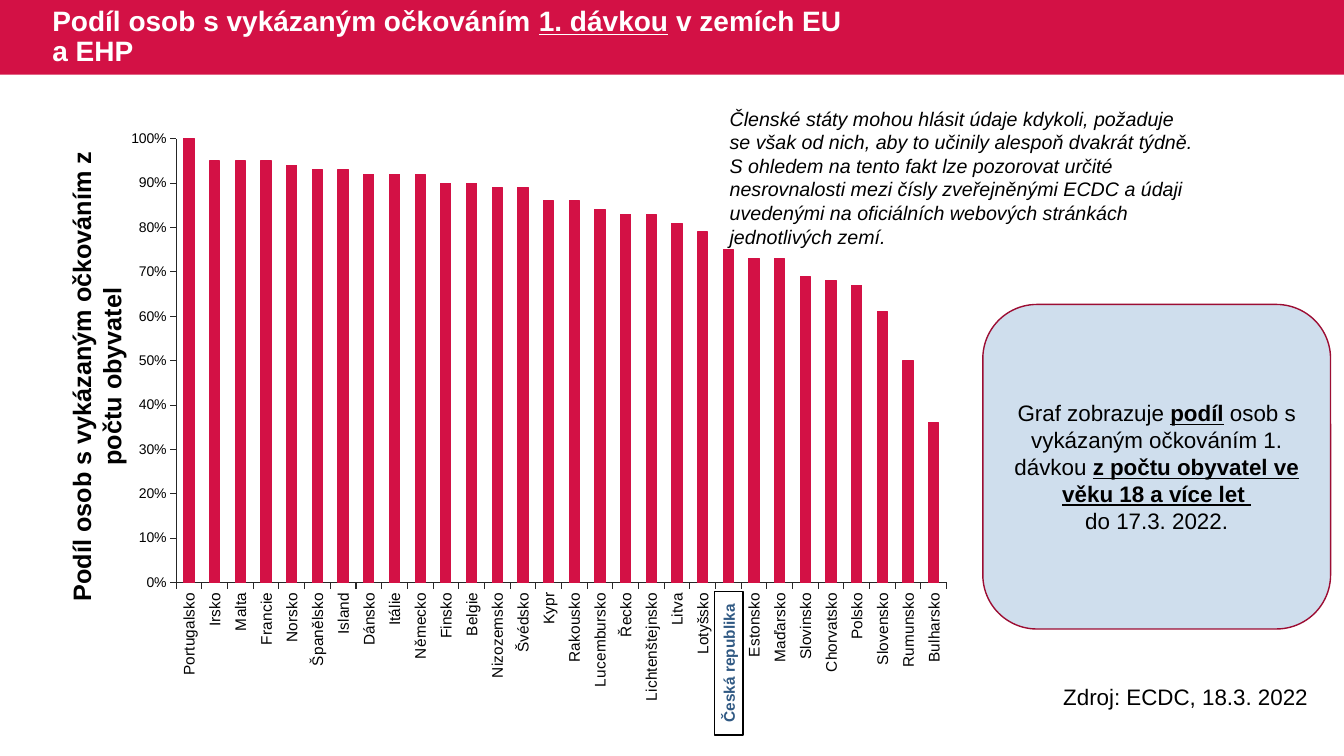
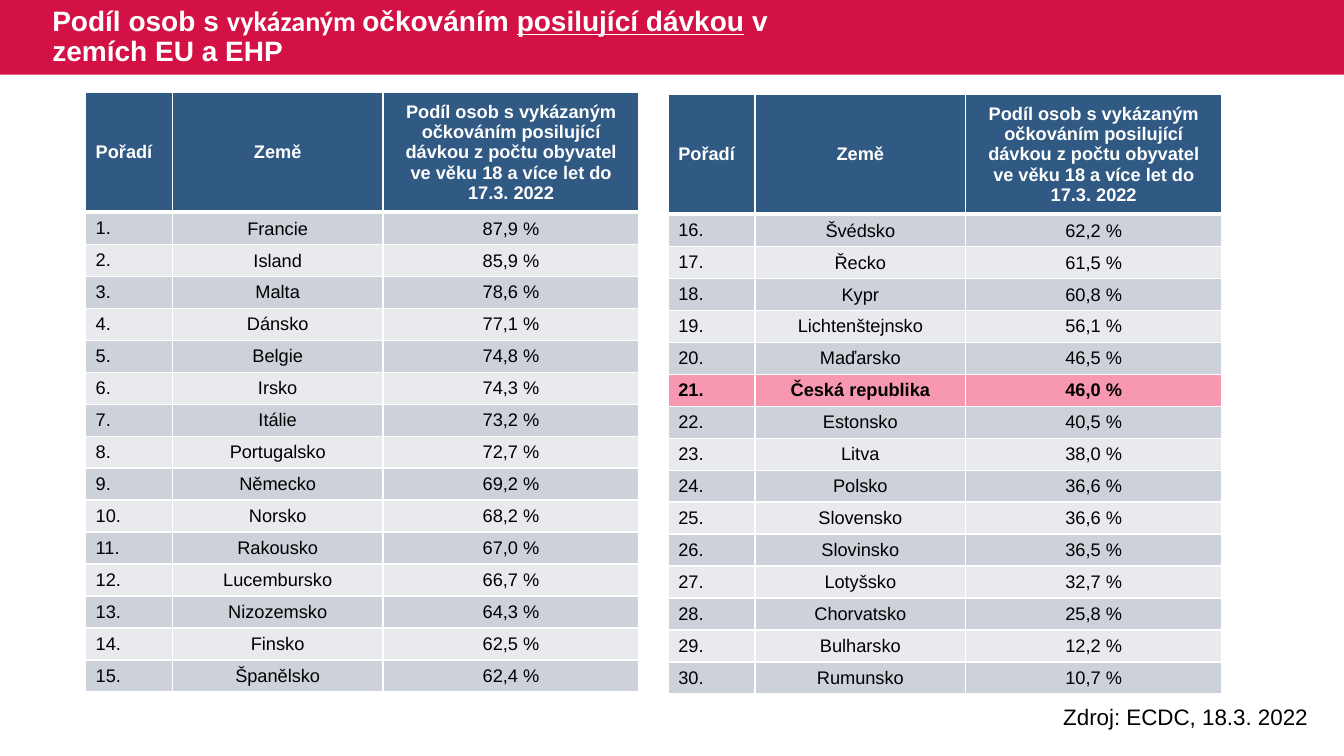
"""Build two slides on reported vaccination in EU and EEA countries."""
from dataclasses import dataclass

from lxml import etree
from pptx import Presentation
from pptx import util as u
from pptx.chart import data as chart_data
from pptx.dml.color import RGBColor
from pptx.enum import chart as chart_enum
from pptx.enum import shapes, text
from pptx.oxml import ns
from pptx.slide import Slide

WIDTH, HEIGHT = u.Inches(13.33), u.Inches(7.5)
COLUMNS, ROWS = 160, 90
FONT = "Arial"
COLOURS = {
    "crimson": "D31145", "dark_red": "9C0D33", "pink": "F797B0",
    "navy": "305983", "pale_blue": "CFDEED", "band_dark": "CDD1D9",
    "band_light": "E8EAED", "white": "FFFFFF", "black": "000000",
    "axis": "262626", "grey": "404040",
}
HIGHLIGHT = "Česká republika"
CENTER, LEFT = text.PP_ALIGN.CENTER, text.PP_ALIGN.LEFT


@dataclass(frozen=True)
class Box:
    """Hold a frame in grid columns and rows."""
    left: float
    top: float
    width: float
    height: float

    def frame(self) -> tuple[int, int, int, int]:
        """Return the frame in slide units."""
        return (across(self.left), down(self.top),
                across(self.width), down(self.height))


@dataclass(frozen=True)
class Piece:
    """Hold a stretch of text with its own emphasis."""
    words: str
    bold: bool = False
    underline: bool = False
    italic: bool = False
    font: str = FONT


@dataclass(frozen=True)
class Style:
    """Hold the look shared by all text of a shape."""
    size: float
    colour: str = "black"
    align: text.PP_ALIGN = LEFT
    spacing: float | None = None


@dataclass(frozen=True)
class Ranking:
    """Hold one ranking table and its place."""
    left: float
    top: float
    first: int
    entries: tuple[tuple[str, str], ...]


BAND = Box(0, 0, COLUMNS, 8.88)
TITLE = Box(5.04, 0, 97.92, 8.88)
AXIS_TITLE = Box(-18.6, 40.56, 60.24, 8.52)
CHART = Box(13.92, 12.96, 100.8, 71.4)
CALLOUT = Box(117, 36.24, 41.4, 38.64)
COUNTRY_MARK = Box(78.24, 77.28, 17.04, 3.36)
NOTE = Box(85.68, 12.12, 58.32, 18.12)
PLOT_SHARES = {"x": 0.07, "y": 0.05, "w": 0.91, "h": 0.74}
TABLE_COLUMNS = (10.32, 25.08, 30.48)
HEADER_ROW, BODY_ROW = 13.2, 3.6
HEADERS = ("Pořadí", "Země",
           "Podíl osob s vykázaným očkováním posilující dávkou z počtu "
           "obyvatel ve věku 18 a více let do 17.3. 2022")

FIRST_DOSE = {
    "Portugalsko": 1, "Irsko": 0.95, "Malta": 0.95, "Francie": 0.95,
    "Norsko": 0.94, "Španělsko": 0.93, "Island": 0.93, "Dánsko": 0.92,
    "Itálie": 0.92, "Německo": 0.92, "Finsko": 0.9, "Belgie": 0.9,
    "Nizozemsko": 0.89, "Švédsko": 0.89, "Kypr": 0.86, "Rakousko": 0.86,
    "Lucembursko": 0.84, "Řecko": 0.83, "Lichtenštejnsko": 0.83,
    "Litva": 0.81, "Lotyšsko": 0.79, HIGHLIGHT: 0.75, "Estonsko": 0.73,
    "Maďarsko": 0.73, "Slovinsko": 0.69, "Chorvatsko": 0.68,
    "Polsko": 0.67, "Slovensko": 0.61, "Rumunsko": 0.5, "Bulharsko": 0.36,
}
RANKINGS = (
    Ranking(10.2, 11.04, 1, (
        ("Francie", "87,9 %"), ("Island", "85,9 %"), ("Malta", "78,6 %"),
        ("Dánsko", "77,1 %"), ("Belgie", "74,8 %"), ("Irsko", "74,3 %"),
        ("Itálie", "73,2 %"), ("Portugalsko", "72,7 %"),
        ("Německo", "69,2 %"), ("Norsko", "68,2 %"),
        ("Rakousko", "67,0 %"), ("Lucembursko", "66,7 %"),
        ("Nizozemsko", "64,3 %"), ("Finsko", "62,5 %"),
        ("Španělsko", "62,4 %"))),
    Ranking(79.56, 11.28, 16, (
        ("Švédsko", "62,2 %"), ("Řecko", "61,5 %"), ("Kypr", "60,8 %"),
        ("Lichtenštejnsko", "56,1 %"), ("Maďarsko", "46,5 %"),
        (HIGHLIGHT, "46,0 %"), ("Estonsko", "40,5 %"),
        ("Litva", "38,0 %"), ("Polsko", "36,6 %"),
        ("Slovensko", "36,6 %"), ("Slovinsko", "36,5 %"),
        ("Lotyšsko", "32,7 %"), ("Chorvatsko", "25,8 %"),
        ("Bulharsko", "12,2 %"), ("Rumunsko", "10,7 %"))),
)


def across(columns: float) -> int:
    """Convert grid columns to a length."""
    return round(WIDTH * columns / COLUMNS)


def down(rows: float) -> int:
    """Convert grid rows to a length."""
    return round(HEIGHT * rows / ROWS)


def rgb(name: str) -> RGBColor:
    """Look up a named colour."""
    return RGBColor.from_string(COLOURS[name])


def style_font(font, size: float, colour: str, bold: bool = False,
               name: str = FONT) -> None:
    """Set the basic look of a font."""
    font.name, font.size, font.bold = name, u.Pt(size), bold
    font.color.rgb = rgb(colour)


def write(frame, style: Style, *paragraphs: tuple[Piece, ...]) -> None:
    """Fill a text frame with paragraphs of styled pieces."""
    frame.word_wrap = True
    for index, pieces in enumerate(paragraphs):
        paragraph = frame.add_paragraph() if index else frame.paragraphs[0]
        paragraph.alignment = style.align
        paragraph.line_spacing = style.spacing
        for piece in pieces:
            run = paragraph.add_run()
            run.text = piece.words
            style_font(run.font, style.size, style.colour, piece.bold, piece.font)
            run.font.underline = piece.underline
            run.font.italic = piece.italic


def add_text(slide: Slide, box: Box, style: Style, *pieces: Piece,
             rotation: float = 0, title: bool = False) -> None:
    """Add a one-paragraph text box."""
    shape = slide.shapes.add_textbox(*box.frame())
    shape.rotation = rotation
    write(shape.text_frame, style, pieces)
    if title:
        shape.text_frame.vertical_anchor = text.MSO_ANCHOR.MIDDLE
    else:
        shape.text_frame.auto_size = text.MSO_AUTO_SIZE.SHAPE_TO_FIT_TEXT


def add_panel(slide: Slide, box: Box, fill: str, line: str | None = None,
              kind: shapes.MSO_SHAPE = shapes.MSO_SHAPE.RECTANGLE):
    """Add a filled shape with an optional outline."""
    shape = slide.shapes.add_shape(kind, *box.frame())
    shape.shadow.inherit = False
    shape.fill.solid()
    shape.fill.fore_color.rgb = rgb(fill)
    if line:
        shape.line.color.rgb = rgb(line)
        shape.line.width = u.Pt(1)
    else:
        shape.line.fill.background()
    shape.text_frame.vertical_anchor = text.MSO_ANCHOR.MIDDLE
    return shape


def add_base(presentation, source_top: float, *title: Piece) -> Slide:
    """Add a slide with its title band and source line."""
    slide = presentation.slides.add_slide(presentation.slide_layouts[6])
    add_panel(slide, BAND, "crimson")
    add_text(slide, TITLE, Style(20, "white", spacing=0.9), *title, title=True)
    add_text(slide, Box(125.4, source_top, 37.56, 4.44), Style(16),
             Piece("Zdroj: ECDC, 18.3. 2022"))
    return slide


def style_axis(axis, size: float) -> None:
    """Set the ticks, line and labels of an axis."""
    axis.has_major_gridlines = False
    axis.major_tick_mark = chart_enum.XL_TICK_MARK.OUTSIDE
    axis.minor_tick_mark = chart_enum.XL_TICK_MARK.NONE
    axis.format.line.color.rgb = rgb("axis")
    axis.format.line.width = u.Pt(0.75)
    style_font(axis.tick_labels.font, size, "black")


def fix_plot_area(chart) -> None:
    """Place the inner plot area by shares of the chart."""
    plot_area = chart.plots[0]._element.getparent()
    for old in plot_area.findall(ns.qn("c:layout")):
        plot_area.remove(old)
    layout = etree.Element(ns.qn("c:layout"))
    plot_area.insert(0, layout)
    manual = etree.SubElement(layout, ns.qn("c:manualLayout"))
    settings = {"layoutTarget": "inner", "xMode": "edge", "yMode": "edge"}
    for tag, value in (settings | PLOT_SHARES).items():
        etree.SubElement(manual, ns.qn(f"c:{tag}"), val=str(value))


def add_dose_chart(slide: Slide) -> None:
    """Add the column chart of first doses."""
    data = chart_data.CategoryChartData(number_format="0%")
    data.categories = FIRST_DOSE.keys()
    data.add_series("Series 1", FIRST_DOSE.values())
    chart = slide.shapes.add_chart(
        chart_enum.XL_CHART_TYPE.COLUMN_CLUSTERED, *CHART.frame(), data).chart
    chart.has_legend = chart.has_title = False
    style_font(chart.font, 10, "grey")
    style_axis(chart.category_axis, 11)
    style_axis(chart.value_axis, 10)
    labels = chart.category_axis._element.find(ns.qn("c:txPr"))
    labels.find(ns.qn("a:bodyPr")).set("rot", "-5400000")
    value_axis = chart.value_axis
    value_axis.minimum_scale, value_axis.maximum_scale = 0, 1
    value_axis.major_unit = 0.1
    value_axis.tick_labels.number_format = "0%"
    value_axis.tick_labels.number_format_is_linked = False
    plot = chart.plots[0]
    plot.gap_width, plot.vary_by_categories = 150, False
    look = plot.series[0].format
    look.fill.solid()
    look.fill.fore_color.rgb = rgb("crimson")
    look.line.color.rgb = rgb("crimson")
    look.line.width = u.Pt(0.75)
    fix_plot_area(chart)


def fill_cell(cell, words: str, fill: str, style: Style, bold: bool,
              bottom: float = 1) -> None:
    """Write one table cell with white borders."""
    properties = cell._tc.get_or_add_tcPr()
    for side, width in (("L", 1), ("R", 1), ("T", 1), ("B", bottom)):
        line = etree.SubElement(properties, ns.qn(f"a:ln{side}"), w=str(u.Pt(width)))
        solid = etree.SubElement(line, ns.qn("a:solidFill"))
        etree.SubElement(solid, ns.qn("a:srgbClr"), val=COLOURS["white"])
    cell.fill.solid()
    cell.fill.fore_color.rgb = rgb(fill)
    cell.vertical_anchor = text.MSO_ANCHOR.MIDDLE
    write(cell.text_frame, style, (Piece(words, bold),))


def add_ranking(slide: Slide, ranking: Ranking) -> None:
    """Add a ranking table."""
    count = len(ranking.entries)
    box = Box(ranking.left, ranking.top, sum(TABLE_COLUMNS),
              HEADER_ROW + count * BODY_ROW)
    table = slide.shapes.add_table(count + 1, len(TABLE_COLUMNS), *box.frame()).table
    for column, width in zip(table.columns, TABLE_COLUMNS):
        column.width = across(width)
    for index, row in enumerate(table.rows):
        row.height = down(BODY_ROW if index else HEADER_ROW)
    for index, words in enumerate(HEADERS):
        fill_cell(table.cell(0, index), words, "navy",
                  Style(13, "white", CENTER if index else LEFT), True, 3)
    for row, (country, share) in enumerate(ranking.entries, 1):
        marked = country == HIGHLIGHT
        fill = "pink" if marked else "band_dark" if row % 2 else "band_light"
        rank = f"{ranking.first + row - 1}."
        for column, words in enumerate((rank, country, share)):
            cell = table.cell(row, column)
            fill_cell(cell, words, fill, Style(13, align=CENTER if column else LEFT), marked)
            if column:
                cell.margin_left = cell.margin_right = cell.margin_top = u.Inches(0.01)
                cell.margin_bottom = 0


def build_chart_slide(presentation) -> None:
    """Build the slide on first doses."""
    slide = add_base(presentation, 80.76,
                     Piece("Podíl osob s vykázaným očkováním ", True),
                     Piece("1. dávkou", True, True),
                     Piece(" v zemích EU a EHP", True))
    add_text(slide, AXIS_TITLE, Style(18, align=CENTER),
             Piece("Podíl osob s vykázaným očkováním z počtu obyvatel", True), rotation=270)
    add_dose_chart(slide)
    callout = add_panel(slide, CALLOUT, "pale_blue", "dark_red",
                        shapes.MSO_SHAPE.ROUNDED_RECTANGLE)
    write(callout.text_frame, Style(16, align=CENTER),
          (Piece("Graf zobrazuje "), Piece("podíl", True, True),
           Piece(" osob s vykázaným očkováním 1. dávkou "),
           Piece("z počtu obyvatel ve věku 18 a více let ", True, True)),
          (Piece("do 17.3. 2022."),))
    mark = add_panel(slide, COUNTRY_MARK, "white", "black")
    mark.rotation = 270
    write(mark.text_frame, Style(11, "navy", CENTER), (Piece(HIGHLIGHT, True),))
    add_text(slide, NOTE, Style(14), Piece(
        "Členské státy mohou hlásit údaje kdykoli, požaduje se však od nich, aby to "
        "učinily alespoň dvakrát týdně. S ohledem na tento fakt lze pozorovat určité "
        "nesrovnalosti mezi čísly zveřejněnými ECDC a údaji uvedenými na oficiálních "
        "webových stránkách jednotlivých zemí.", italic=True))


def build_ranking_slide(presentation) -> None:
    """Build the slide on booster doses."""
    slide = add_base(presentation, 83.16,
                     Piece("Podíl osob s ", True),
                     Piece("vykázaným ", True, font="Calibri"),
                     Piece("očkováním ", True),
                     Piece("posilující dávkou", True, True),
                     Piece(" v zemích EU a EHP", True))
    for ranking in RANKINGS:
        add_ranking(slide, ranking)


def main() -> None:
    """Build and save the presentation."""
    presentation = Presentation()
    presentation.slide_width, presentation.slide_height = WIDTH, HEIGHT
    build_chart_slide(presentation)
    build_ranking_slide(presentation)
    presentation.save("out.pptx")


if __name__ == "__main__":
    main()
